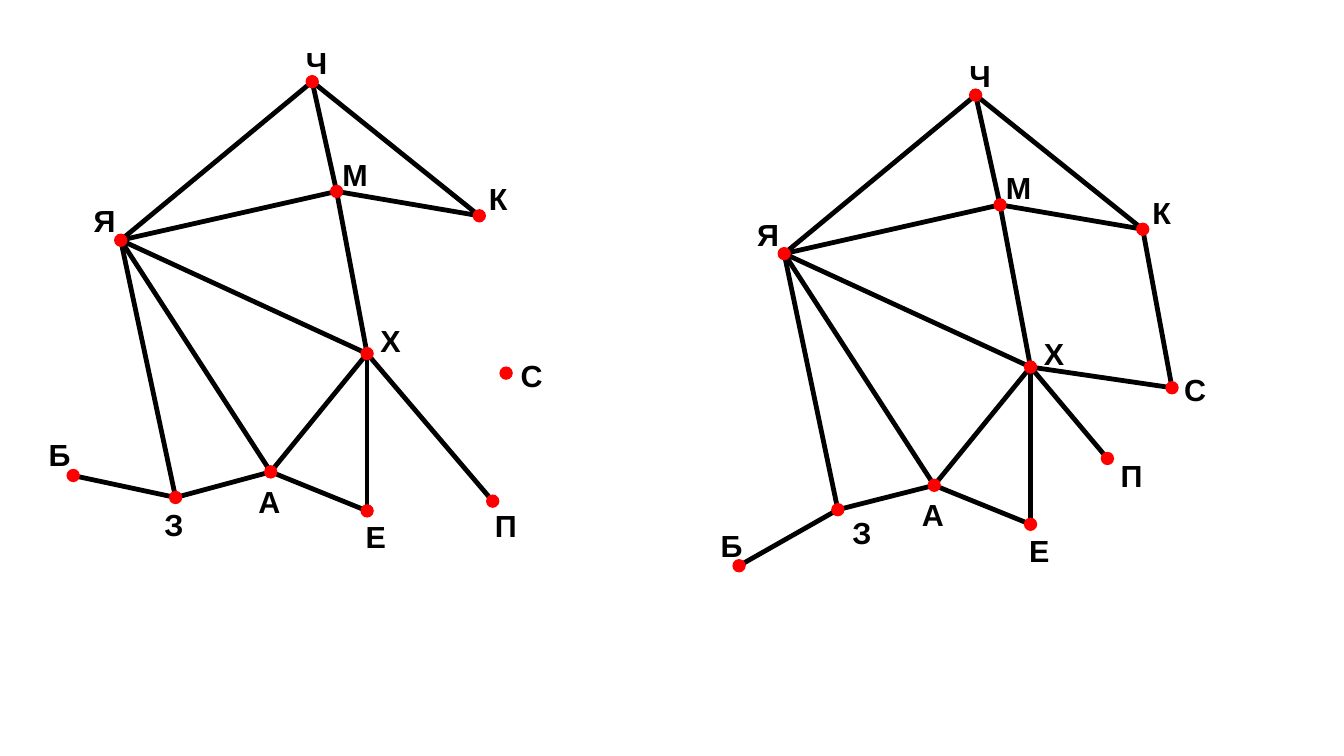
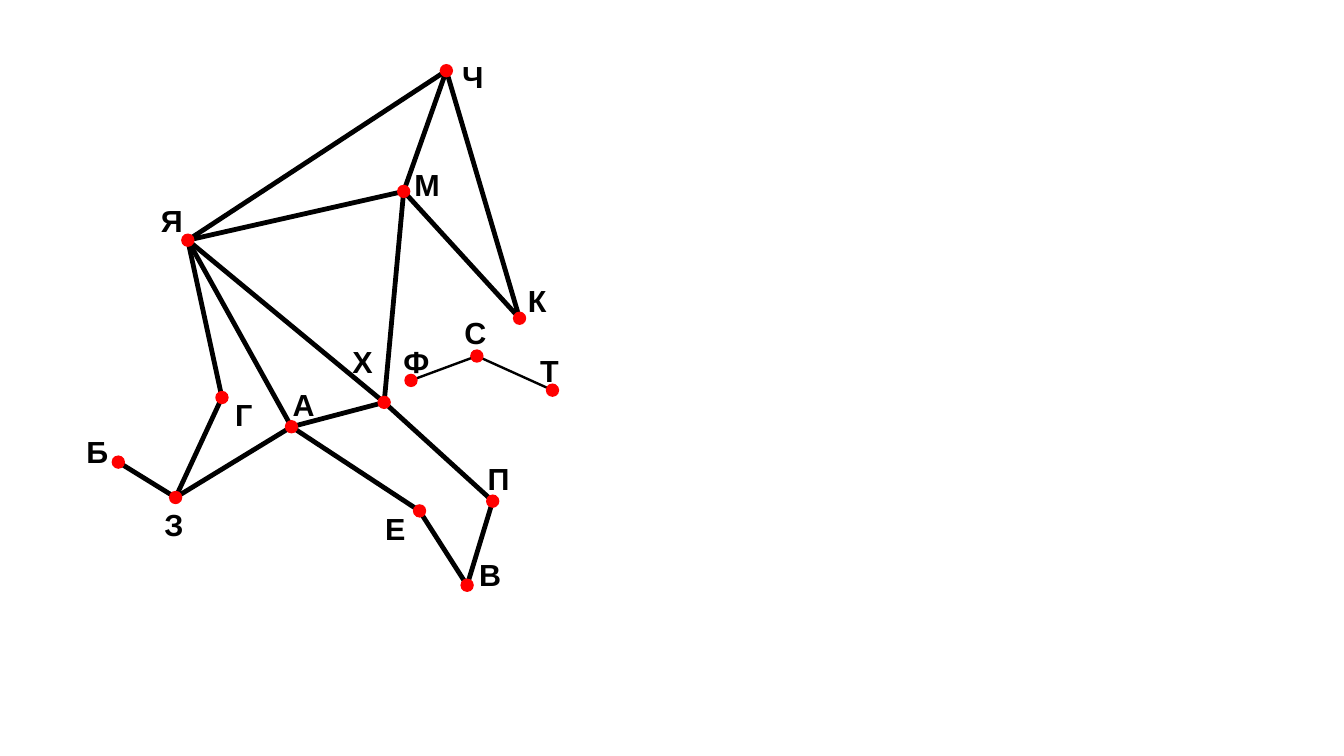
from dataclasses import dataclass
from typing import NamedTuple

from lxml.etree import SubElement
from pptx import Presentation
from pptx.dml.color import RGBColor
from pptx.enum.shapes import MSO_CONNECTOR, MSO_SHAPE
from pptx.enum.text import MSO_AUTO_SIZE
from pptx.oxml.ns import qn
from pptx.util import Inches, Pt


@dataclass(frozen=True)
class Theme:
    ink: RGBColor = RGBColor(0x00, 0x00, 0x00)
    dot: RGBColor = RGBColor(0xFF, 0x00, 0x00)
    font: str = "Arial"
    label_size: float = 18
    thick: float = 2.83
    thin: float = 1.42
    dot_size: float = 0.11
    label_box: float = 0.39


class Vertex(NamedTuple):
    """Centre of a dot, then the left top corner of its label."""
    x: float
    y: float
    label_x: float
    label_y: float


LEFT_GRAPH = {
    "Ч": Vertex(2.56, 0.67, 2.41, 0.31),
    "М": Vertex(2.76, 1.57, 2.71, 1.23),
    "К": Vertex(3.93, 1.77, 3.91, 1.43),
    "Я": Vertex(0.99, 1.97, 0.67, 1.61),
    "Х": Vertex(3.01, 2.9, 3.02, 2.59),
    "С": Vertex(4.15, 3.06, 4.17, 2.88),
    "Б": Vertex(0.6, 3.9, 0.3, 3.53),
    "З": Vertex(1.44, 4.08, 1.25, 4.1),
    "А": Vertex(2.22, 3.87, 2.02, 3.91),
    "Е": Vertex(3.01, 4.19, 2.9, 4.2),
    "П": Vertex(4.04, 4.11, 3.96, 4.11),
}
LEFT_EDGES = "ЧЯ ЧМ ЧК МК МЯ ХЯ ХМ ХП ХЕ ХА АЗ ЕА ЗБ ЯЗ АЯ"

SHIFT_X, SHIFT_Y = 5.44, 0.11
RIGHT_GRAPH = {
    letter: Vertex(v.x + SHIFT_X, v.y + SHIFT_Y, v.label_x + SHIFT_X, v.label_y + SHIFT_Y)
    for letter, v in LEFT_GRAPH.items()
} | {
    "С": Vertex(9.61, 3.18, 9.61, 2.99),
    "Б": Vertex(6.06, 4.64, 5.81, 4.27),
    "З": Vertex(6.87, 4.18, 6.89, 4.17),
    "П": Vertex(9.08, 3.76, 9.09, 3.7),
}
RIGHT_EDGES = LEFT_EDGES + " ХС КС"

EXTENDED_GRAPH = {
    "Ч": Vertex(3.66, 0.58, 3.69, 0.43),
    "М": Vertex(3.31, 1.57, 3.3, 1.31),
    "К": Vertex(4.26, 2.61, 4.23, 2.26),
    "Я": Vertex(1.54, 1.97, 1.22, 1.61),
    "Х": Vertex(3.15, 3.3, 2.79, 2.76),
    "Б": Vertex(0.97, 3.79, 0.61, 3.5),
    "З": Vertex(1.44, 4.08, 1.25, 4.1),
    "А": Vertex(2.39, 3.5, 2.3, 3.12),
    "Е": Vertex(3.44, 4.19, 3.06, 4.13),
    "П": Vertex(4.04, 4.11, 3.9, 3.72),
    "Г": Vertex(1.82, 3.26, 1.83, 3.2),
    "В": Vertex(3.83, 4.8, 3.83, 4.51),
    "Ф": Vertex(3.37, 3.12, 3.21, 2.76),
    "С": Vertex(3.91, 2.92, 3.71, 2.53),
    "Т": Vertex(4.53, 3.2, 4.33, 2.84),
}
EXTENDED_EDGES = "ЧЯ ЧМ ЧК МК МЯ ХЯ ХМ ХП ЕВ ХА АЗ ЕА ЗБ ГЗ АЯ ЯГ ПВ"
EXTENDED_THIN_EDGES = "СФ ТС"


class GraphDeck:
    def __init__(self, theme):
        self.theme = theme
        self.presentation = Presentation()
        self.presentation.slide_width = Inches(11.02)
        self.presentation.slide_height = Inches(6.2)
        self.slide = None

    def add_slide(self):
        blank_layout = self.presentation.slide_layouts[6]
        self.slide = self.presentation.slides.add_slide(blank_layout)

    def label(self, letter, vertex):
        side = Inches(self.theme.label_box)
        box = self.slide.shapes.add_textbox(
            Inches(vertex.label_x), Inches(vertex.label_y), side, side)
        frame = box.text_frame
        frame.word_wrap = True
        frame.auto_size = MSO_AUTO_SIZE.SHAPE_TO_FIT_TEXT
        run = frame.paragraphs[0].add_run()
        run.text = letter
        run.font.name = self.theme.font
        run.font.size = Pt(self.theme.label_size)
        run.font.bold = True
        run.font.color.rgb = self.theme.ink

    def edge(self, start, end, width):
        line = self.slide.shapes.add_connector(
            MSO_CONNECTOR.STRAIGHT,
            Inches(start.x), Inches(start.y), Inches(end.x), Inches(end.y))
        line.line.color.rgb = self.theme.ink
        line.line.width = Pt(width)
        SubElement(line._element.spPr, qn("a:effectLst"))

    def dot(self, vertex):
        size = self.theme.dot_size
        shape = self.slide.shapes.add_shape(
            MSO_SHAPE.OVAL, Inches(vertex.x - size / 2), Inches(vertex.y - size / 2),
            Inches(size), Inches(size))
        shape.shadow.inherit = False
        shape.fill.solid()
        shape.fill.fore_color.rgb = self.theme.dot
        shape.line.fill.background()

    def graph(self, vertices, edges, thin_edges=""):
        """Draw labels, then edges given as letter pairs, then dots on top."""
        for letter, vertex in vertices.items():
            self.label(letter, vertex)
        for pairs, width in ((edges, self.theme.thick), (thin_edges, self.theme.thin)):
            for start, end in pairs.split():
                self.edge(vertices[start], vertices[end], width)
        for vertex in vertices.values():
            self.dot(vertex)


def main():
    deck = GraphDeck(Theme())
    deck.add_slide()
    deck.graph(LEFT_GRAPH, LEFT_EDGES)
    deck.graph(RIGHT_GRAPH, RIGHT_EDGES)
    deck.add_slide()
    deck.graph(EXTENDED_GRAPH, EXTENDED_EDGES, EXTENDED_THIN_EDGES)
    deck.presentation.save("out.pptx")


if __name__ == "__main__":
    main()
